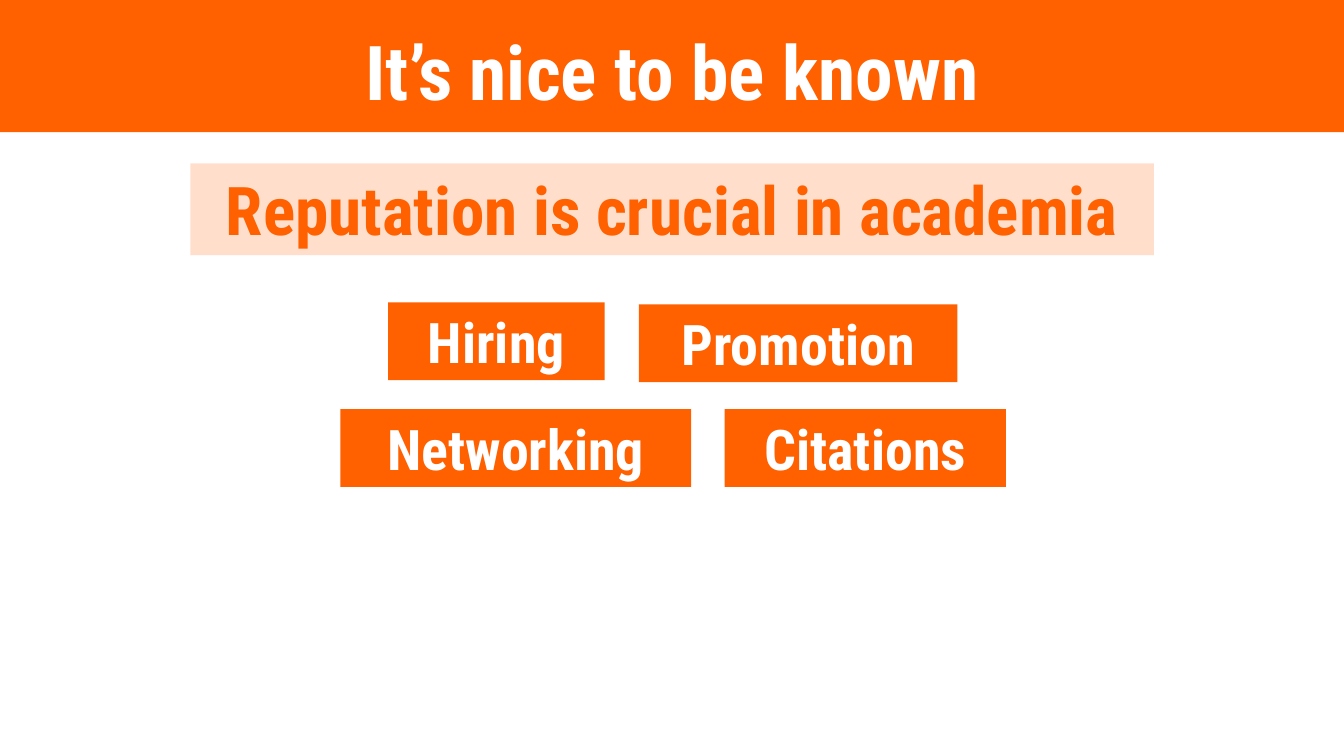
"""Build a slide on why reputation matters in academia."""
import pptx
import pptx.dml.color
import pptx.enum.shapes
import pptx.enum.text
import pptx.util

Cm = pptx.util.Cm
ORANGE = pptx.dml.color.RGBColor(0xFF, 0x60, 0x00)
PEACH = pptx.dml.color.RGBColor(0xFF, 0xDF, 0xCC)
WHITE = pptx.dml.color.RGBColor(0xFF, 0xFF, 0xFF)
TOP = pptx.enum.text.MSO_ANCHOR.TOP
MIDDLE = pptx.enum.text.MSO_ANCHOR.MIDDLE
SLIDE_WIDTH = 33.87
LABEL_HEIGHT = 1.96

presentation = pptx.Presentation()
presentation.slide_width = Cm(SLIDE_WIDTH)
presentation.slide_height = Cm(19.05)
slide = presentation.slides.add_slide(presentation.slide_layouts[6])


def add_banner(text, left, top, width, height, size, fill, color, anchor=TOP, line_spacing=1.0):
    shape = slide.shapes.add_shape(
        pptx.enum.shapes.MSO_SHAPE.RECTANGLE, Cm(left), Cm(top), Cm(width), Cm(height))
    shape.shadow.inherit = False
    shape.fill.solid()
    shape.fill.fore_color.rgb = fill
    shape.line.fill.background()
    shape.text_frame.word_wrap = True
    shape.text_frame.vertical_anchor = anchor
    paragraph = shape.text_frame.paragraphs[0]
    paragraph.alignment = pptx.enum.text.PP_ALIGN.CENTER
    paragraph.line_spacing = line_spacing
    run = paragraph.add_run()
    run.text = text
    run.font.name = "Roboto Condensed"
    run.font.size = pptx.util.Pt(size)
    run.font.bold = True
    run.font.color.rgb = color


add_banner("It’s nice to be known", 0, 0, SLIDE_WIDTH, 3.33, 54, ORANGE, WHITE, MIDDLE, 1.1)
add_banner("Reputation is crucial in academia", 4.8, 4.12, 24.28, 2.31, 48, PEACH, ORANGE)

labels = [
    ("Hiring", 9.78, 7.62, 5.46),
    ("Promotion", 16.1, 7.67, 8.03),
    ("Networking", 8.58, 10.31, 8.84),
    ("Citations", 18.26, 10.31, 7.09),
]
for text, left, top, width in labels:
    add_banner(text, left, top, width, LABEL_HEIGHT, 40, ORANGE, WHITE)

presentation.save("out.pptx")
